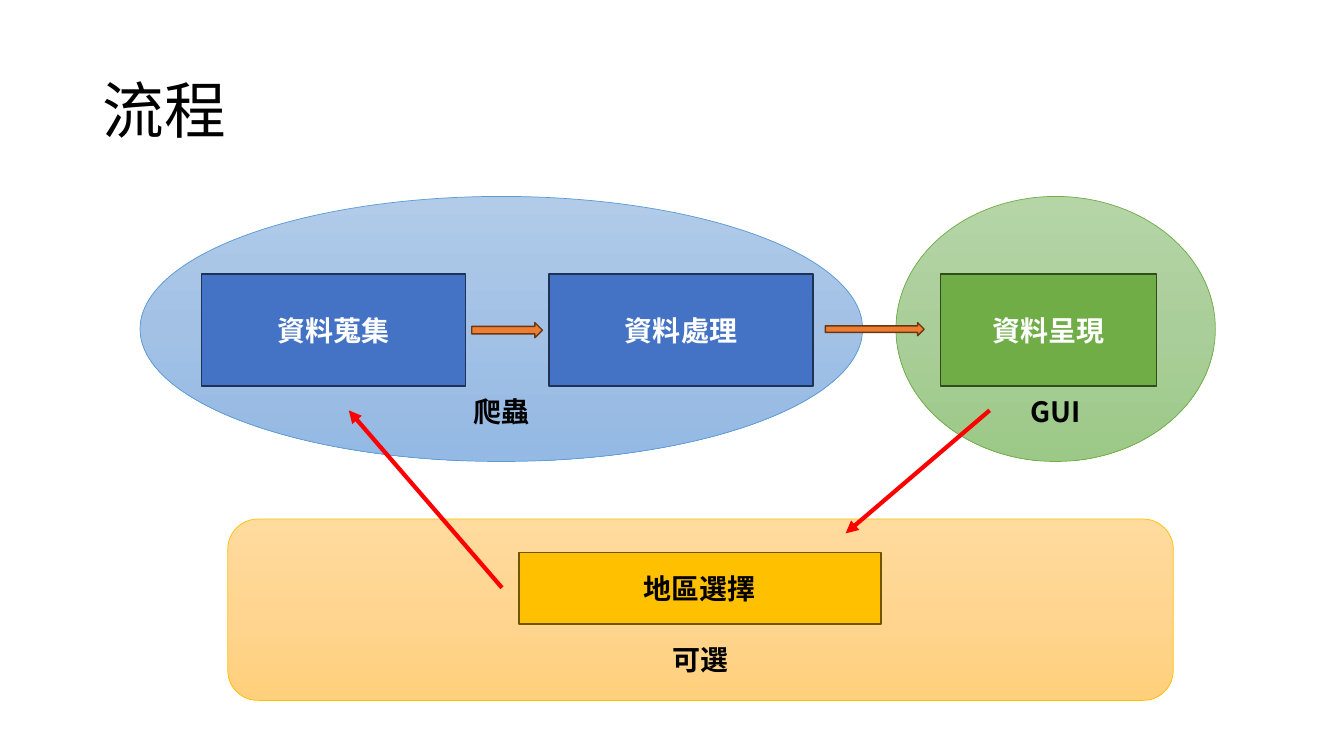
from copy import deepcopy
from dataclasses import dataclass

from lxml import etree
from pptx import Presentation
from pptx.dml.color import RGBColor
from pptx.enum.shapes import MSO_CONNECTOR, MSO_SHAPE as Preset
from pptx.enum.text import MSO_ANCHOR as Anchor, PP_ALIGN as Align
from pptx.oxml.ns import qn
from pptx.shapes.autoshape import Shape
from pptx.slide import Slide
from pptx.util import Cm, Pt

FONT = "Noto Sans CJK SC"
BLACK, WHITE, RED = "000000", "FFFFFF", "FF0000"
BLUE, GREEN, GOLD, ORANGE = "4472C4", "70AD47", "FFC000", "ED7D31"


@dataclass(frozen=True)
class Block:
    """A filled shape; lengths in centimetres, several fills make a gradient."""
    preset: Preset
    left: float
    top: float
    width: float
    height: float
    fills: tuple[str, ...]
    line: str
    line_width: float = 1
    text: str = ""
    text_color: str = WHITE
    text_drop: float = 0


@dataclass(frozen=True)
class Arrow:
    start: tuple[float, float]
    end: tuple[float, float]


# Stage areas, each with its label pushed below the box inside
AREA_TOP, AREA_HEIGHT, AREA_DROP = 4.95, 6.68, 4.17
AREAS = [
    Block(Preset.OVAL, 3.53, AREA_TOP, 18.21, AREA_HEIGHT, ("B1CBE9", "A3C1E5", "93B9E4"),
          "5B9BD5", 0.5, "爬蟲", BLACK, AREA_DROP),
    Block(Preset.OVAL, 22.58, AREA_TOP, 8.05, AREA_HEIGHT, ("B5D5A7", "AACE9A", "9CC987"),
          GREEN, 0.5, "GUI", BLACK, AREA_DROP),
    Block(Preset.ROUNDED_RECTANGLE, 5.74, 13.08, 23.83, 4.57, ("FFDB9E", "FFD590", "FFD07C"),
          GOLD, 0.5, "可選", BLACK, 2.49),
]

# Process steps
STEP_TOP, STEP_HEIGHT = 6.91, 2.82
STEPS = [
    Block(Preset.FLOWCHART_PROCESS, 5.08, STEP_TOP, 6.65, STEP_HEIGHT, (BLUE,), "1E3256", text="資料蒐集"),
    Block(Preset.FLOWCHART_PROCESS, 13.84, STEP_TOP, 6.65, STEP_HEIGHT, (BLUE,), "1E3256", text="資料處理"),
    Block(Preset.FLOWCHART_PROCESS, 23.7, STEP_TOP, 5.44, STEP_HEIGHT, (GREEN,), "314C1F", text="資料呈現"),
    Block(Preset.FLOWCHART_PROCESS, 13.08, 13.92, 9.12, 1.8, (GOLD,), "705400", text="地區選擇", text_color=BLACK),
]

# Arrows between the steps
FLOW_ARROWS = [
    Block(Preset.RIGHT_ARROW, 11.89, 8.13, 1.78, 0.38, (ORANGE,), "683715"),
    Block(Preset.RIGHT_ARROW, 20.8, 8.13, 2.49, 0.33, (ORANGE,), "683715"),
]
SELECTION_ARROWS = [
    Arrow((24.94, 10.34), (21.31, 13.44)),
    Arrow((12.65, 14.81), (8.79, 10.34)),
]


def color(hex_code: str) -> RGBColor:
    return RGBColor.from_string(hex_code)


def write(shape: Shape, text: str, size: float, hex_code: str, bold: bool, align: Align) -> None:
    frame = shape.text_frame
    frame.word_wrap = True
    frame.vertical_anchor = Anchor.MIDDLE
    paragraph = frame.paragraphs[0]
    paragraph.alignment = align
    run = paragraph.add_run()
    run.text = text
    run.font.name = FONT
    run.font.size = Pt(size)
    run.font.bold = bold
    run.font.color.rgb = color(hex_code)
    east_asian = etree.SubElement(run.font._element, qn("a:ea"))
    east_asian.set("typeface", FONT)


def fill_gradient(shape: Shape, fills: tuple[str, ...]) -> None:
    shape.fill.gradient()
    shape.fill.gradient_angle = 270
    stop_list = shape._element.spPr.find(f".//{qn('a:gsLst')}")
    stop_list.insert(1, deepcopy(stop_list[0]))
    for index, (stop, hex_code) in enumerate(zip(shape.fill.gradient_stops, fills)):
        stop.color.rgb = color(hex_code)
        stop.position = index / (len(fills) - 1)


def add_block(slide: Slide, block: Block) -> None:
    shape = slide.shapes.add_shape(
        block.preset, Cm(block.left), Cm(block.top), Cm(block.width), Cm(block.height))
    shape.shadow.inherit = False
    if len(block.fills) > 1:
        fill_gradient(shape, block.fills)
    else:
        shape.fill.solid()
        shape.fill.fore_color.rgb = color(block.fills[0])
    shape.line.color.rgb = color(block.line)
    shape.line.width = Pt(block.line_width)
    if block.text:
        write(shape, block.text, 20, block.text_color, True, Align.CENTER)
    if block.text_drop:
        shape.text_frame.margin_top = Cm(block.text_drop)
        shape.text_frame.margin_bottom = 0


def add_arrow(slide: Slide, arrow: Arrow) -> None:
    connector = slide.shapes.add_connector(
        MSO_CONNECTOR.STRAIGHT, *map(Cm, arrow.start), *map(Cm, arrow.end))
    connector.line.color.rgb = color(RED)
    connector.line.width = Pt(3)
    properties = connector._element.spPr
    etree.SubElement(properties.find(qn("a:ln")), qn("a:tailEnd")).set("type", "triangle")
    etree.SubElement(properties, qn("a:effectLst"))


def add_title(slide: Slide, text: str) -> None:
    title = slide.shapes.title
    title.left, title.top, title.width, title.height = Cm(2.33), Cm(1.01), Cm(29.21), Cm(3.68)
    write(title, text, 44, BLACK, False, Align.LEFT)
    title.text_frame.paragraphs[0].line_spacing = 0.9


def main() -> None:
    presentation = Presentation()
    presentation.slide_width, presentation.slide_height = Cm(33.87), Cm(19.05)
    slide = presentation.slides.add_slide(presentation.slide_layouts[5])
    add_title(slide, "流程")
    for block in AREAS + STEPS + FLOW_ARROWS:
        add_block(slide, block)
    for arrow in SELECTION_ARROWS:
        add_arrow(slide, arrow)
    presentation.save("out.pptx")


if __name__ == "__main__":
    main()
